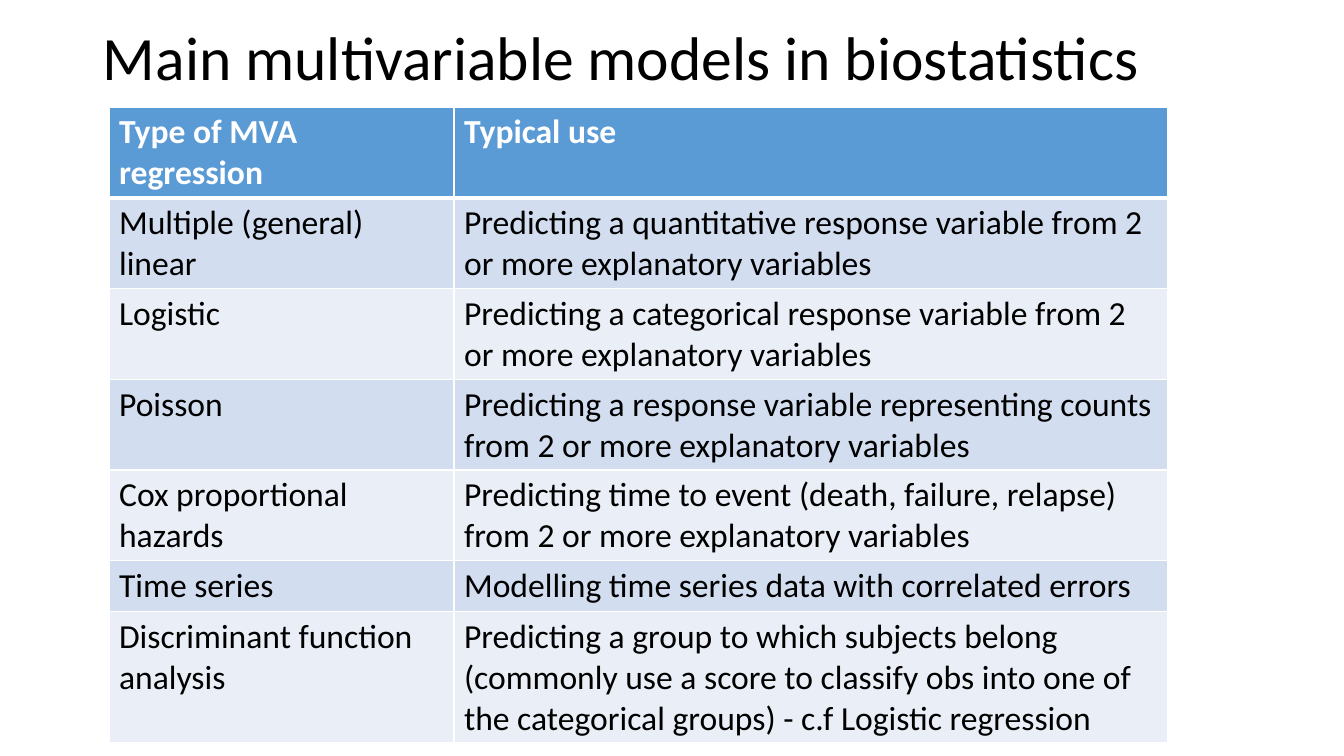
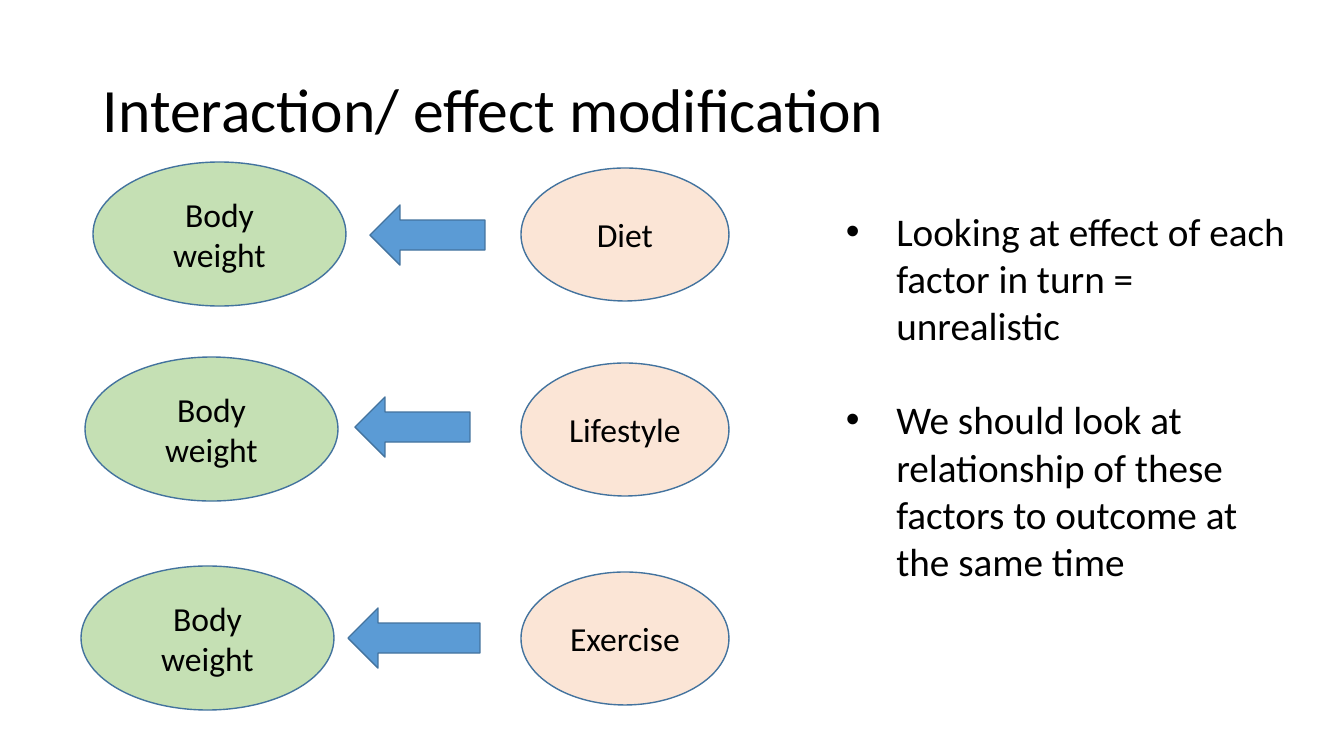
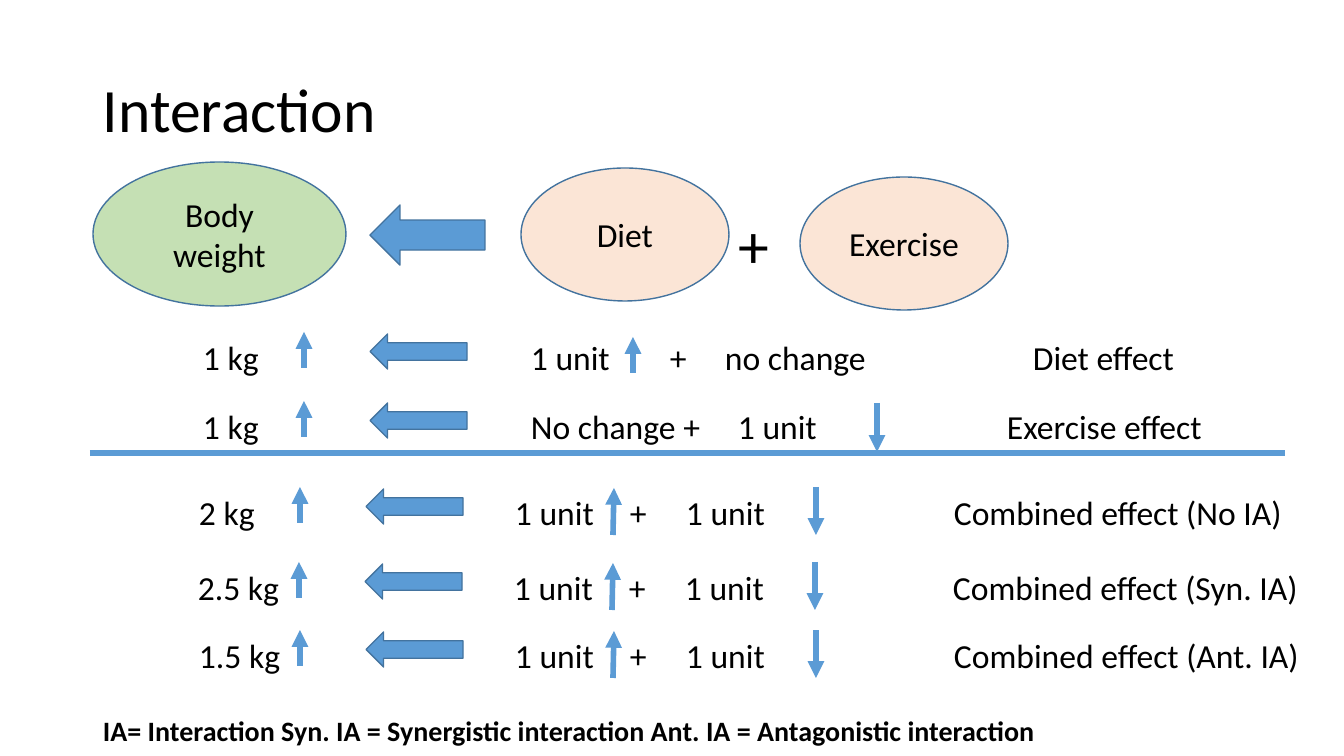
import pptx
import pptx.util
import pptx.dml.color
import pptx.enum.shapes
import pptx.enum.text
import pptx.oxml
import pptx.oxml.ns

PIXEL = 914400 / 100.8
COLORS = {
    "text": "000000", "white": "FFFFFF", "accent": "5B9BD5", "outline": "43739E",
    "outcome": "C5E0B4", "factor": "FBE5D6", "band": "D2DEEF", "light band": "EAEFF7",
}
RGB = {name: pptx.dml.color.RGBColor.from_string(value) for name, value in COLORS.items()}
PRESETS = pptx.enum.shapes.MSO_SHAPE
LEFT = pptx.enum.text.PP_ALIGN.LEFT
CENTER = pptx.enum.text.PP_ALIGN.CENTER
TOP = pptx.enum.text.MSO_ANCHOR.TOP
MIDDLE = pptx.enum.text.MSO_ANCHOR.MIDDLE

# Text styles: font, paragraph and frame settings
FONTS = {
    "title": {"size": pptx.util.Pt(44), "bold": False},
    "plus": {"size": pptx.util.Pt(44), "bold": False},
    "bullets": {"size": pptx.util.Pt(28), "bold": False},
    "body": {"size": pptx.util.Pt(24), "bold": False},
    "header": {"size": pptx.util.Pt(24), "bold": True},
    "key": {"size": pptx.util.Pt(20), "bold": True},
}
PARAGRAPHS = {
    "title": {"alignment": LEFT, "line_spacing": 0.9},
    "bullets": {"alignment": LEFT, "space_after": pptx.util.Pt(34)},
    "shape": {"alignment": CENTER},
}
SHAPES = {
    "outcome": (PRESETS.OVAL, "outcome", 0),
    "factor": (PRESETS.OVAL, "factor", 0),
    "arrow": (PRESETS.RIGHT_ARROW, "accent", 180),
}


def write(frame, texts, style, color="text", layout=None):
    for index, text in enumerate(texts):
        paragraph = frame.add_paragraph() if index else frame.paragraphs[0]
        run = paragraph.add_run()
        run.text = text
        for name, value in {"name": "Calibri", **FONTS[style]}.items():
            setattr(run.font, name, value)
        run.font.color.rgb = RGB[color]
        for name, value in PARAGRAPHS.get(layout or style, {"alignment": LEFT}).items():
            setattr(paragraph, name, value)


def add_item(slide, style, box, *texts):
    lengths = [round(value * PIXEL) for value in box]
    if style in SHAPES:
        preset, fill, rotation = SHAPES[style]
        shape = slide.shapes.add_shape(preset, *lengths)
        shape.shadow.inherit = False
        shape.rotation = rotation
        shape.fill.solid()
        shape.fill.fore_color.rgb = RGB[fill]
        shape.line.color.rgb = RGB["outline"]
        shape.line.width = pptx.util.Pt(1)
        write(shape.text_frame, texts, "body", layout="shape")
    else:
        shape = slide.shapes.add_textbox(*lengths)
        write(shape.text_frame, texts, style)
    centred = style in SHAPES or style == "title"
    frame_format = {"word_wrap": True, "vertical_anchor": MIDDLE if centred else TOP}
    for name, value in frame_format.items():
        setattr(shape.text_frame, name, value)
    return shape


presentation = pptx.Presentation()
presentation.slide_width = round(1344 * PIXEL)
presentation.slide_height = round(756 * PIXEL)

# Slides with their titles
titles = [
    ("Main multivariable models in biostatistics", 14, 93),
    ("Interaction/ effect modification", 40, 146),
    ("Interaction", 40, 146),
]
slides = []
for title, top, height in titles:
    slide = presentation.slides.add_slide(presentation.slide_layouts[6])
    add_item(slide, "title", (93, top, 1159, height), title)
    slides.append(slide)
models_slide, modification_slide, interaction_slide = slides

# Table of models
models = [
    ("Type of MVA regression", "Typical use"),
    ("Multiple (general) linear",
     "Predicting a quantitative response variable from 2 or more explanatory variables"),
    ("Logistic",
     "Predicting a categorical response variable from 2 or more explanatory variables"),
    ("Poisson",
     "Predicting a response variable representing counts from 2 or more explanatory variables"),
    ("Cox proportional hazards",
     "Predicting time to event (death, failure, relapse) from 2 or more explanatory variables"),
    ("Time series", "Modelling time series data with correlated errors"),
    ("Discriminant function analysis",
     "Predicting a group to which subjects belong (commonly use a score to classify obs "
     "into one of the categorical groups) - c.f Logistic regression"),
]
column_widths = (345, 714)
row_height = 41
table_box = (109, 107, sum(column_widths), row_height * len(models))
table = models_slide.shapes.add_table(
    len(models), len(column_widths), *[round(value * PIXEL) for value in table_box]).table
for column, width in zip(table.columns, column_widths):
    column.width = round(width * PIXEL)
for row_index, model in enumerate(models):
    table.rows[row_index].height = round(row_height * PIXEL)
    header = row_index == 0
    fill = "accent" if header else "band" if row_index % 2 else "light band"
    for column_index, text in enumerate(model):
        cell = table.cell(row_index, column_index)
        write(cell.text_frame, [text], "header" if header else "body",
              "white" if header else "text")
        properties = cell._tc.get_or_add_tcPr()
        for side in "LRTB":
            thick = (header and side == "B") or (row_index == 1 and side == "T")
            properties.append(pptx.oxml.parse_xml(
                f'<a:ln{side} {pptx.oxml.ns.nsdecls("a")} w="{38100 if thick else 12700}">'
                f'<a:solidFill><a:srgbClr val="{COLORS["white"]}"/></a:solidFill></a:ln{side}>'))
        cell.fill.solid()
        cell.fill.fore_color.rgb = RGB[fill]

# Each factor acting on body weight: outcome left, outcome top, arrow box
effects = [
    ("Diet", 93, 162, (370, 205, 115, 60)),
    ("Lifestyle", 85, 357, (355, 397, 115, 60)),
    ("Exercise", 81, 566, (348, 608, 132, 60)),
]
for factor, left, top, arrow_box in effects:
    add_item(modification_slide, "outcome", (left, top, 253, 144), "Body weight")
    add_item(modification_slide, "factor", (521, top + 6, 208, 133), factor)
    add_item(modification_slide, "arrow", arrow_box)

# Bulleted remarks
remarks = add_item(
    modification_slide, "bullets", (836, 202, 464, 390),
    "Looking at effect of each factor in turn = unrealistic",
    "We should look at relationship of these factors to outcome at the same time")
for paragraph in remarks.text_frame.paragraphs:
    properties = paragraph._p.get_or_add_pPr()
    properties.set("marL", "457200")
    properties.set("indent", "-457200")
    for bullet in ('buFont {} typeface="Arial"', 'buChar {} char="•"'):
        properties.append(pptx.oxml.parse_xml(
            f'<a:{bullet.format(pptx.oxml.ns.nsdecls("a"))}/>'))

# Diet plus exercise acting on body weight
add_item(interaction_slide, "outcome", (93, 162, 253, 144), "Body weight")
add_item(interaction_slide, "factor", (521, 168, 208, 133), "Diet")
add_item(interaction_slide, "factor", (800, 177, 208, 133), "Exercise")
add_item(interaction_slide, "arrow", (370, 205, 115, 60))
add_item(interaction_slide, "plus", (729, 202, 53, 85), "+")

# Effect rows: top, shift, weight, (text, left) pieces, trend lines relative to the row
combined = [("1 unit", 509), ("+", 624), ("1 unit", 680)]
combined_trends = [(617, 48, 618, 1), (820, 0, 820, 48)]
effect_rows = [
    (332, 0, "1 kg",
     [("1 unit", 521), ("+", 660), ("no change", 715), ("Diet effect", 1023)],
     [(633, 41, 633, 5)]),
    (401, 0, "1 kg",
     [("No change +", 521), ("1 unit", 728), ("Exercise effect", 997)],
     [(877, 2, 877, 51)]),
    (487, -4, "2 kg", combined + [("Combined effect (No IA)", 948)], combined_trends),
    (562, -5, "2.5 kg", combined + [("Combined effect (Syn. IA)", 948)], combined_trends),
    (630, -4, "1.5 kg", combined + [("Combined effect (Ant. IA)", 948)], combined_trends),
]
lines = [((90, 453, 1285, 453), False)]
for top, shift, weight, pieces, trends in effect_rows:
    for text, left in [(weight, 193)] + pieces:
        add_item(interaction_slide, "body",
                 (left + shift, top, 14 * len(text) + 40, 50), text)
    add_item(interaction_slide, "arrow", (370 + shift, top + 2, 97, 35))
    for start_x, start_y, end_x, end_y in [(304, 36, 304, 0)] + trends:
        lines.append(((start_x + shift, top + start_y, end_x + shift, top + end_y), True))

# Trend arrows and dividing line
for ends, arrowhead in lines:
    connector = interaction_slide.shapes.add_connector(
        pptx.enum.shapes.MSO_CONNECTOR.STRAIGHT, *[round(value * PIXEL) for value in ends])
    connector.line.color.rgb = RGB["accent"]
    connector.line.width = pptx.util.Pt(4)
    if arrowhead:
        connector.line._get_or_add_ln().append(pptx.oxml.parse_xml(
            f'<a:tailEnd {pptx.oxml.ns.nsdecls("a")} type="triangle"/>'))
    connector._element.spPr.append(pptx.oxml.parse_xml(
        f'<a:effectLst {pptx.oxml.ns.nsdecls("a")}/>'))

# Key to abbreviations
add_item(interaction_slide, "key", (93, 709, 1206, 44),
         "IA= Interaction Syn. IA = Synergistic interaction Ant. IA = Antagonistic interaction")

presentation.save("out.pptx")
